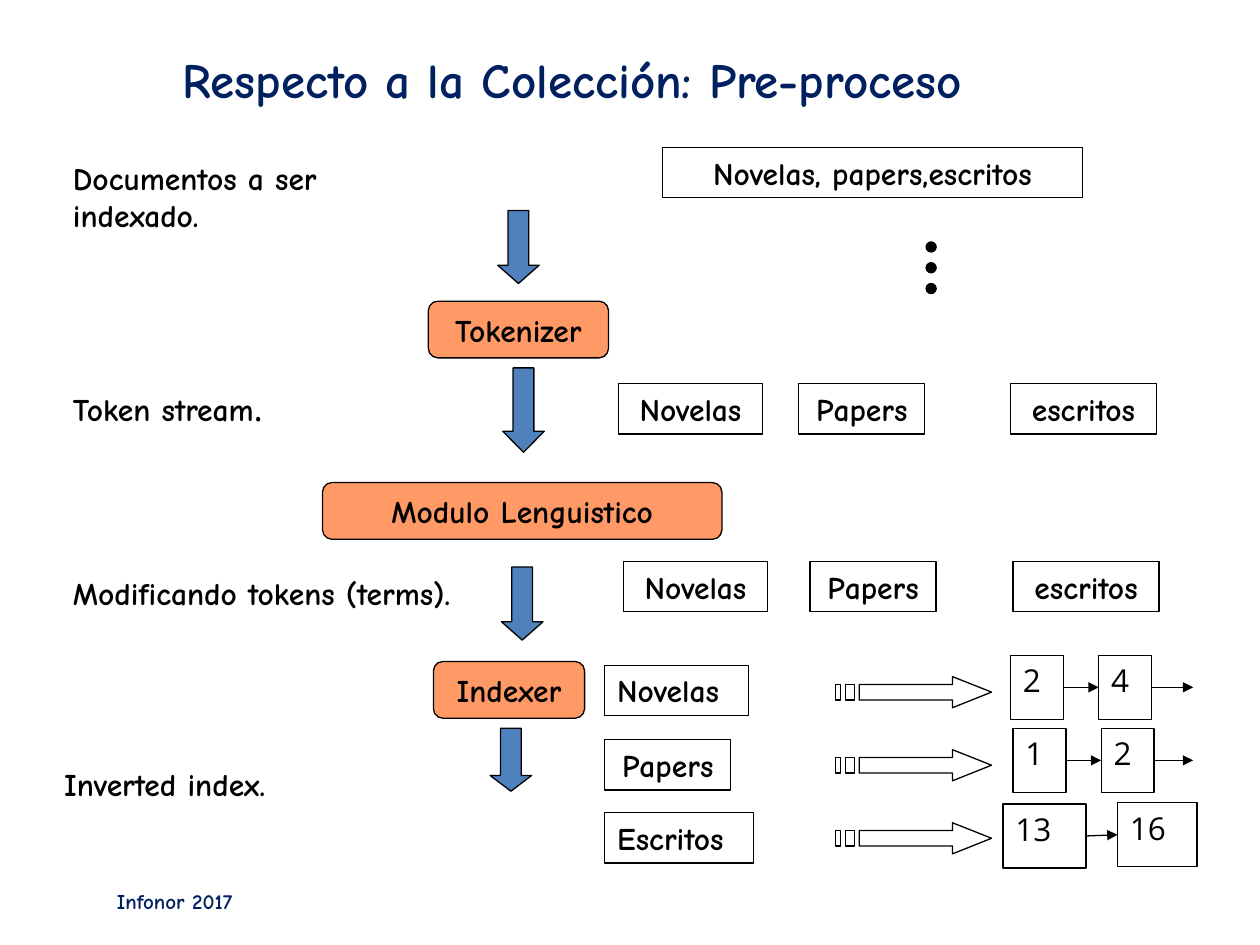
from dataclasses import dataclass

from lxml import etree
from pptx import Presentation
from pptx.dml.color import RGBColor
from pptx.enum.shapes import MSO_CONNECTOR, MSO_SHAPE
from pptx.enum.text import MSO_ANCHOR as ANCHOR, PP_ALIGN as ALIGN
from pptx.oxml.ns import qn
from pptx.util import Inches, Pt

COLORS = {"ink": "000000", "paper": "FFFFFF", "title": "002060",
          "module": "FF9966", "arrow": "4F81BD"}
HAND, SANS = "Comic Neue", "Open Sans"

prs = Presentation()
prs.slide_width, prs.slide_height = Inches(10), Inches(7.5)
COL, ROW = prs.slide_width / 100, prs.slide_height / 75
slide = prs.slides.add_slide(prs.slide_layouts[6])
shapes = slide.shapes


@dataclass
class Area:
    """A place on the grid of 100 columns by 75 rows."""
    col: float
    row: float
    cols: float
    rows: float

    def emu(self) -> tuple:
        return (round(self.col * COL), round(self.row * ROW),
                round(self.cols * COL), round(self.rows * ROW))


@dataclass
class Style:
    size: float = 18
    font: str = HAND
    bold: bool = True
    color: str = "ink"
    align: ALIGN = ALIGN.LEFT
    anchor: ANCHOR = ANCHOR.TOP


@dataclass
class Posting:
    """One line of the inverted index; the last arrow may lead on to more."""
    term: str
    term_area: Area
    numbers: list
    boxes: list
    arrow_row: float
    leads_on: bool


LABEL = Style()
CENTRED = Style(align=ALIGN.CENTER, anchor=ANCHOR.MIDDLE)
NUMBER = Style(font=SANS, bold=False)
TITLE = Style(28, color="title", align=ALIGN.CENTER, anchor=ANCHOR.MIDDLE)
FOOTER = Style(12, color="title", anchor=ANCHOR.MIDDLE)


def rgb(name: str) -> RGBColor:
    return RGBColor.from_string(COLORS[name])


def format_run(r, style: Style) -> None:
    r.font.size, r.font.name, r.font.bold = Pt(style.size), style.font, style.bold
    r.font.color.rgb = rgb(style.color)


def write(sp, text: str, style: Style) -> None:
    tf = sp.text_frame
    tf.word_wrap = True
    tf.vertical_anchor = style.anchor
    tf.text = text
    for p in tf.paragraphs:
        p.alignment = style.align
        for r in p.runs:
            format_run(r, style)


def outline(sp, fill: str = "") -> None:
    sp.shadow.inherit = False
    if fill:
        sp.fill.solid()
        sp.fill.fore_color.rgb = rgb(fill)
    else:
        sp.fill.background()
    sp.line.color.rgb = rgb("ink")
    sp.line.width = Pt(0.75)


def add_label(text: str, area: Area, style: Style = LABEL):
    sp = shapes.add_textbox(*area.emu())
    write(sp, text, style)
    return sp


def add_box(text: str, area: Area, style: Style = CENTRED,
            fill: str = "paper", kind: MSO_SHAPE = MSO_SHAPE.RECTANGLE):
    sp = shapes.add_shape(kind, *area.emu())
    outline(sp, fill)
    if text:
        write(sp, text, style)
    return sp


def add_down_arrow(area: Area) -> None:
    """The head takes a quarter of the arrow's length."""
    sp = add_box("", area, fill="arrow", kind=MSO_SHAPE.DOWN_ARROW)
    sp.adjustments[0] = 0.5
    sp.adjustments[1] = area.rows / 4 / area.cols


def add_striped_arrow(col: float, row: float) -> None:
    top, bottom = 0.62, 1.85
    head = [(9.3, 0), (9.3, top), (1.9, top), (1.9, bottom),
            (9.3, bottom), (9.3, 2.47), (12.4, 1.23)]
    stripes = [[(x0, top), (x0, bottom), (x1, bottom), (x1, top)]
               for x0, x1 in ((0.8, 1.55), (0, 0.4))]
    paths = [[(round((col + x) * COL), round((row + y) * ROW)) for x, y in path]
             for path in (head, *stripes)]
    builder = shapes.build_freeform(*paths[0][0])
    for path in paths:
        builder.move_to(*path[0])
        builder.add_line_segments(path[1:], close=True)
    outline(builder.convert_to_shape())


def add_link(start, end=None, end_col: float = 0) -> None:
    """Arrow from a box's right side to the next box, or to a free column."""
    y = start.top + start.height // 2
    c = shapes.add_connector(MSO_CONNECTOR.STRAIGHT, start.left + start.width, y,
                             round(end_col * COL), y)
    c.begin_connect(start, 3)
    if end is not None:
        c.end_connect(end, 1)
    c.line.color.rgb = rgb("ink")
    c.line.width = Pt(0.75)
    etree.SubElement(c.line._get_or_add_ln(), qn("a:tailEnd"), type="triangle")
    etree.SubElement(c._element.spPr, qn("a:effectLst"))


def add_posting(posting: Posting) -> None:
    centred = posting.term == "Papers"
    add_box(posting.term, posting.term_area, CENTRED if centred else LABEL)
    add_striped_arrow(66.3, posting.arrow_row)
    first, second = [add_box(n, a, NUMBER)
                     for n, a in zip(posting.numbers, posting.boxes)]
    add_link(first, second)
    if posting.leads_on:
        add_link(second, end_col=94.7)


MODULES = [("Tokenizer", Area(34, 23.9, 14.3, 4.5)),
           ("Modulo Lenguistico", Area(25.6, 38.3, 31.7, 4.5)),
           ("Indexer", Area(34.4, 52.5, 12, 4.5))]
DOWN_ARROWS = [Area(39.5, 16.7, 3.3, 5.8), Area(39.9, 29.2, 3.3, 6.7),
               Area(39.8, 45, 3.3, 5.8), Area(38.9, 57.8, 3.3, 5)]
LABELS = [("Documentos a ser\nindexado.", Area(4.8, 12.1, 24.8, 7.1)),
          ("Modificando tokens (terms).", Area(4.8, 45.1, 36.4, 4)),
          ("Inverted index.", Area(4.1, 60.2, 21.2, 4))]
WORDS = [("Novelas", 11.4), ("Papers", 10), ("escritos", 11.6)]
TOKEN_ROWS = [(30.45, (49.1, 63.4, 80.2)), (44.55, (49.5, 64.3, 80.4))]
POSTINGS = [
    Posting("Novelas", Area(48, 52.8, 11.4, 4), ["2", "4"],
            [Area(80.2, 52, 4.2, 5.1), Area(87.2, 52, 4.2, 5.1)], 53.7, True),
    Posting("Papers", Area(48, 58.7, 10, 4), ["1", "2"],
            [Area(80.4, 57.8, 4.2, 5.1), Area(87.4, 57.8, 4.2, 5.1)], 59.5, True),
    Posting("Escritos", Area(48, 64.5, 11.8, 4), ["13", "16"],
            [Area(79.6, 63.8, 6.6, 5.1), Area(88.7, 63.7, 6.3, 5.1)], 65.3, False),
]

add_label("Respecto a la Colección: Pre-proceso", Area(0.4, 0, 90, 12.5), TITLE)
add_box("Novelas, papers,escritos", Area(52.6, 11.7, 33.3, 4))
for i in range(3):
    add_box("", Area(73.5, 19.2 + 1.65 * i, 0.8, 0.8), fill="ink", kind=MSO_SHAPE.OVAL)

for text, area in LABELS:
    add_label(text, area)
stream = add_label("Token stream", Area(4.8, 30.2, 19.6, 4.4))
stop = stream.text_frame.paragraphs[0].add_run()
stop.text = "."
format_run(stop, Style(20, SANS, False))

for text, area in MODULES:
    add_box(text, area, fill="module", kind=MSO_SHAPE.FLOWCHART_ALTERNATE_PROCESS)
for area in DOWN_ARROWS:
    add_down_arrow(area)
for row, cols in TOKEN_ROWS:
    for col, (word, width) in zip(cols, WORDS):
        add_box(word, Area(col, row, width, 4))
for posting in POSTINGS:
    add_posting(posting)
add_label("Infonor 2017", Area(8.3, 69.5, 23.3, 4), FOOTER)

prs.save("out.pptx")
